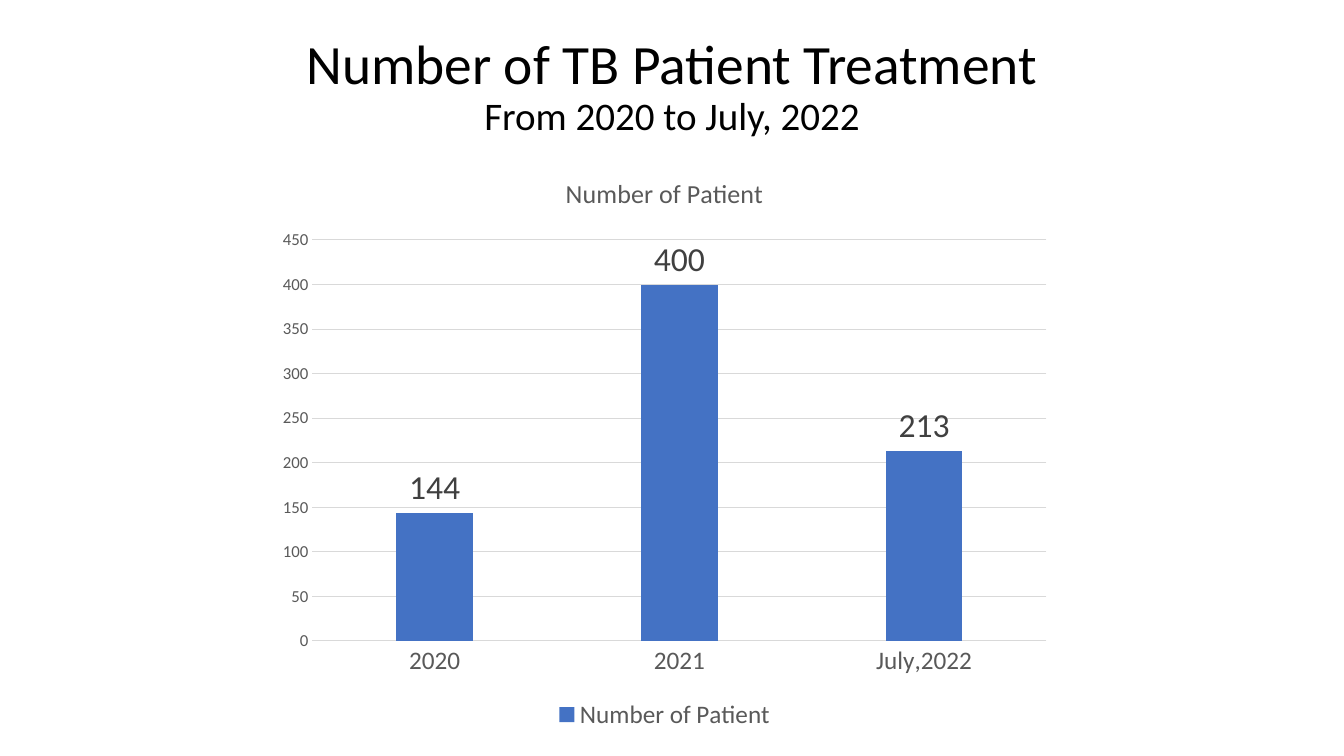
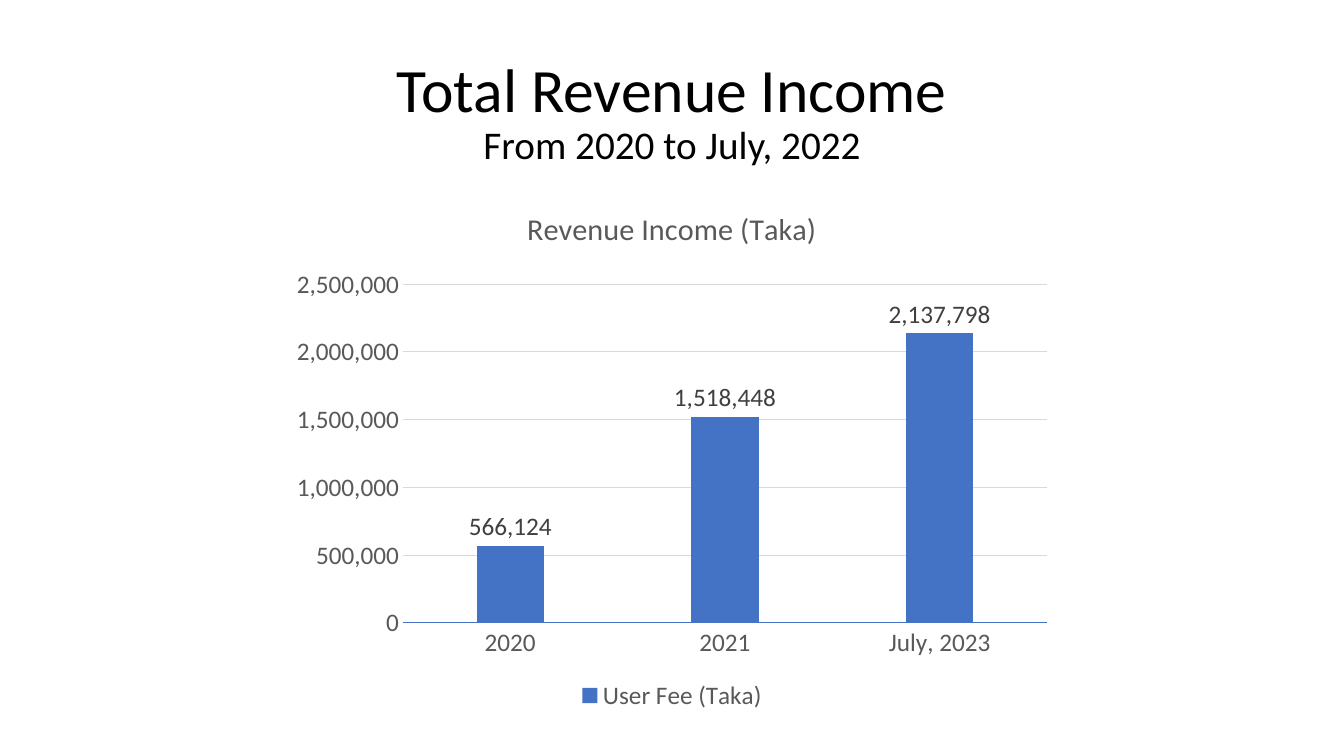
"""Build two column-chart slides on TB patients and revenue income."""
from pptx import Presentation
from pptx.chart.data import CategoryChartData
from pptx.dml.color import RGBColor
from pptx.enum import chart as ch, text as tx
from pptx.util import Cm, Pt

FONT = "Calibri"
BLACK = RGBColor(0x00, 0x00, 0x00)
DARK = RGBColor(0x40, 0x40, 0x40)
GREY = RGBColor(0x59, 0x59, 0x59)
PALE = RGBColor(0xD9, 0xD9, 0xD9)
BLUE = RGBColor(0x44, 0x72, 0xC4)

PERIOD = "From 2020 to July, 2022"
SLIDES = [
    dict(lines=[("Number of TB Patient Treatment", 39.6), (PERIOD, 27.9)],
         top=0.38, box=(6.73, 3.86, 20.04, 14.66),
         head="Number of Patient", head_size=18.6,
         name="Number of Patient", cats=["2020", "2021", "July,2022"],
         vals=[144, 400, 213], scale_size=12, label_size=24, base=PALE),
    dict(lines=[("Total Revenue Income", 44), (PERIOD, 28)],
         top=1.02, box=(7.09, 4.7, 19.69, 13.34),
         head="Revenue Income (Taka)", head_size=21.6,
         name="User Fee (Taka)", cats=["2020", "2021", "July, 2023"],
         vals=[566124, 1518448, 2137798], scale_size=18, label_size=18,
         base=BLUE),
]


def style(font, size, color):
    font.name = FONT
    font.size = Pt(size)
    font.bold = False
    font.color.rgb = color


def rule(line, color):
    line.color.rgb = color
    line.width = Pt(0.75)


def add_title(slide, item):
    title = slide.shapes.title
    title.left, title.top = Cm(2.33), Cm(item["top"])
    title.width, title.height = Cm(29.21), Cm(3.68)
    frame = title.text_frame
    frame.auto_size = tx.MSO_AUTO_SIZE.NONE
    frame.vertical_anchor = tx.MSO_ANCHOR.MIDDLE
    para = frame.paragraphs[0]
    para.alignment = tx.PP_ALIGN.CENTER
    para.line_spacing = 0.9
    para.font.name = FONT
    para.font.color.rgb = BLACK
    for pos, (words, size) in enumerate(item["lines"]):
        if pos:
            para.add_line_break()
        run = para.add_run()
        run.text = words
        run.font.size = Pt(size)


def add_columns(slide, item):
    data = CategoryChartData(number_format="#,##0")
    data.categories = item["cats"]
    data.add_series(item["name"], item["vals"])
    box = [Cm(side) for side in item["box"]]
    chart = slide.shapes.add_chart(
        ch.XL_CHART_TYPE.COLUMN_CLUSTERED, *box, data).chart
    style(chart.font, 18, GREY)

    chart.has_title = True
    head = chart.chart_title.text_frame
    head.text = item["head"]
    style(head.paragraphs[0].font, item["head_size"], GREY)
    chart.has_legend = True
    chart.legend.position = ch.XL_LEGEND_POSITION.BOTTOM
    chart.legend.include_in_layout = False
    style(chart.legend.font, 18, GREY)

    cat, val = chart.category_axis, chart.value_axis
    for axis, size in (cat, 18), (val, item["scale_size"]):
        axis.major_tick_mark = ch.XL_TICK_MARK.NONE
        axis.minor_tick_mark = ch.XL_TICK_MARK.NONE
        style(axis.tick_labels.font, size, GREY)
    rule(cat.format.line, item["base"])
    val.format.line.fill.background()
    val.has_major_gridlines = True
    rule(val.major_gridlines.format.line, PALE)

    plot = chart.plots[0]
    plot.gap_width, plot.overlap = 219, -27
    plot.vary_by_categories = False
    bars = plot.series[0]
    bars.format.fill.solid()
    bars.format.fill.fore_color.rgb = BLUE
    bars.invert_if_negative = False
    labels = bars.data_labels
    labels.show_value = True
    labels.position = ch.XL_LABEL_POSITION.OUTSIDE_END
    style(labels.font, item["label_size"], DARK)


def main():
    deck = Presentation()
    deck.slide_width, deck.slide_height = Cm(33.87), Cm(19.05)
    for item in SLIDES:
        slide = deck.slides.add_slide(deck.slide_layouts[5])
        add_title(slide, item)
        add_columns(slide, item)
    deck.save("out.pptx")


if __name__ == "__main__":
    main()
